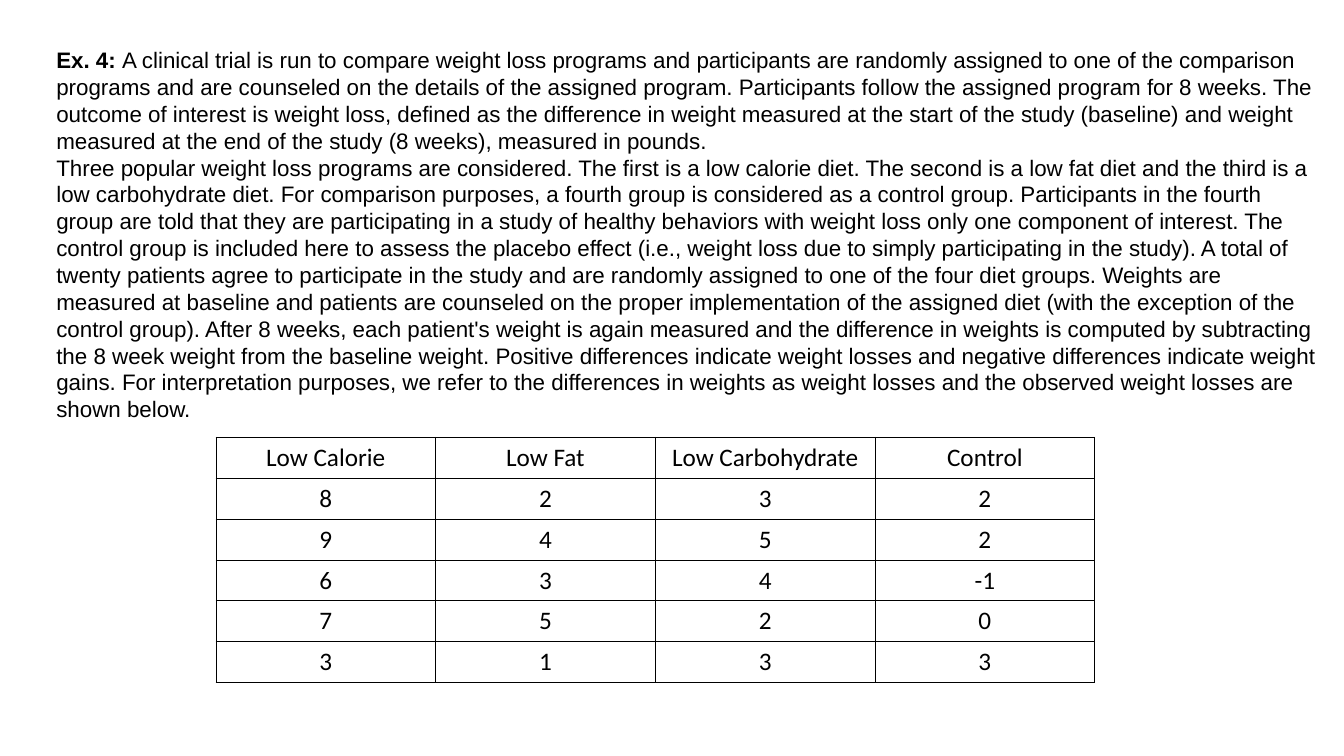
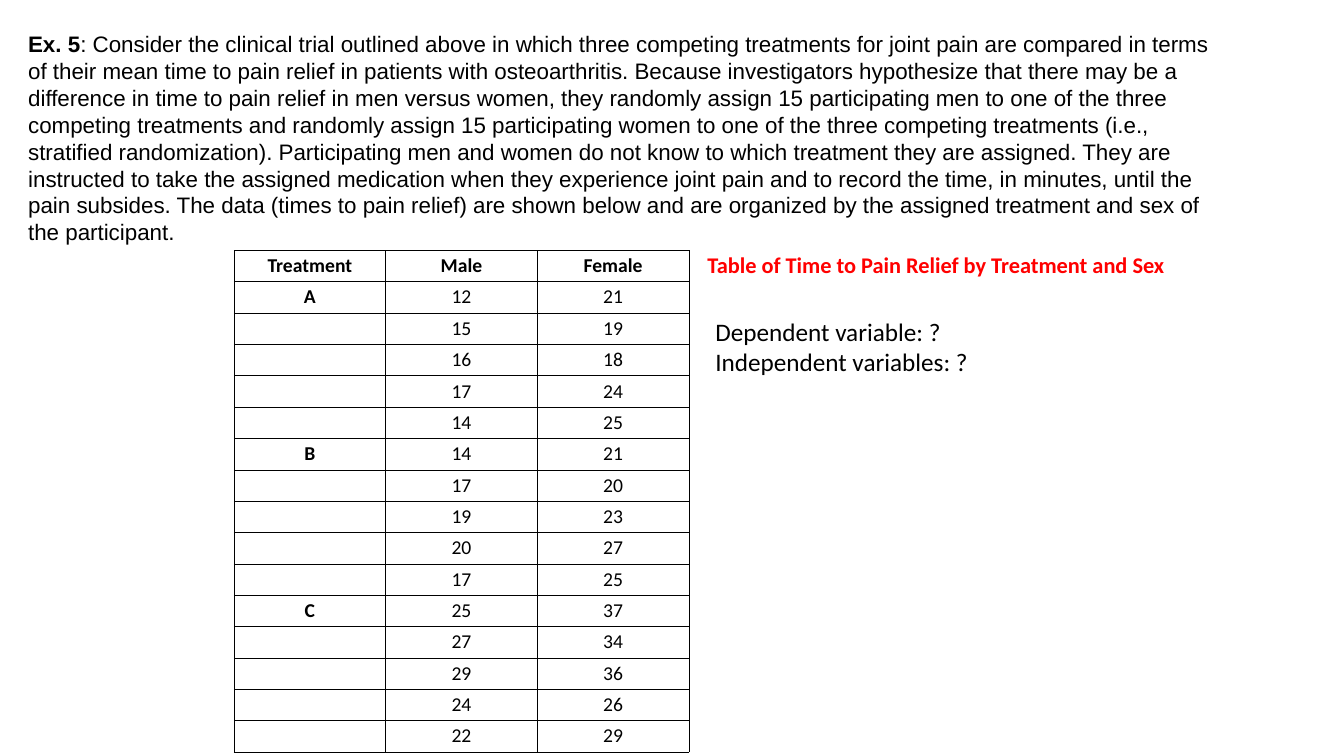
import lxml.etree
import pptx
import pptx.dml.color
import pptx.enum.text
import pptx.oxml.ns
import pptx.util

Cm = pptx.util.Cm
Pt = pptx.util.Pt
qn = pptx.oxml.ns.qn
PP_ALIGN = pptx.enum.text.PP_ALIGN
MSO_ANCHOR = pptx.enum.text.MSO_ANCHOR

COLORS = {"text": "000000", "paper": "FFFFFF", "accent": "FF0000", "grid": "000000"}
BODY, LABEL = "Arial", "Calibri"
BORDER = Pt(0.6)

# Each passage is a list of sentences, joined by single spaces.
TRIAL = [
    "A clinical trial is run to compare weight loss programs and participants are "
    "randomly assigned to one of the comparison programs and are counseled on the "
    "details of the assigned program.",
    "Participants follow the assigned program for 8 weeks.",
    "The outcome of interest is weight loss, defined as the difference in weight "
    "measured at the start of the study (baseline) and weight measured at the end of "
    "the study (8 weeks), measured in pounds.",
]
PROGRAMS = [
    "Three popular weight loss programs are considered.",
    "The first is a low calorie diet.",
    "The second is a low fat diet and the third is a low carbohydrate diet.",
    "For comparison purposes, a fourth group is considered as a control group.",
    "Participants in the fourth group are told that they are participating in a study "
    "of healthy behaviors with weight loss only one component of interest.",
    "The control group is included here to assess the placebo effect (i.e., weight "
    "loss due to simply participating in the study).",
    "A total of twenty patients agree to participate in the study and are randomly "
    "assigned to one of the four diet groups.",
    "Weights are measured at baseline and patients are counseled on the proper "
    "implementation of the assigned diet (with the exception of the control group).",
    "After 8 weeks, each patient's weight is again measured and the difference in "
    "weights is computed by subtracting the 8 week weight from the baseline weight.",
    "Positive differences indicate weight losses and negative differences indicate "
    "weight gains.",
    "For interpretation purposes, we refer to the differences in weights as weight "
    "losses and the observed weight losses are shown below.",
]
JOINT_PAIN = [
    ": Consider the clinical trial outlined above in which three competing treatments "
    "for joint pain are compared in terms of their mean time to pain relief in "
    "patients with osteoarthritis.",
    "Because investigators hypothesize that there may be a difference in time to pain "
    "relief in men versus women, they randomly assign 15 participating men to one of "
    "the three competing treatments and randomly assign 15 participating women to one "
    "of the three competing treatments (i.e., stratified randomization).",
    "Participating men and women do not know to which treatment they are assigned.",
    "They are instructed to take the assigned medication when they experience joint "
    "pain and to record the time, in minutes, until the pain subsides.",
    "The data (times to pain relief) are shown below and are organized by the assigned "
    "treatment and sex of the participant.",
]

DIETS = [
    ("Low Calorie", "Low Fat", "Low Carbohydrate", "Control"),
    (8, 2, 3, 2),
    (9, 4, 5, 2),
    (6, 3, 4, -1),
    (7, 5, 2, 0),
    (3, 1, 3, 3),
]
RELIEF_TIMES = {
    "A": [(12, 21), (15, 19), (16, 18), (17, 24), (14, 25)],
    "B": [(14, 21), (17, 20), (19, 23), (20, 27), (17, 25)],
    "C": [(25, 37), (27, 34), (29, 36), (24, 26), (22, 29)],
}


def rgb(name):
    """Return the named colour."""
    return pptx.dml.color.RGBColor.from_string(COLORS[name])


def add_run(p, text, size, font, bold=False, color="text"):
    """Append one formatted run to a paragraph."""
    r = p.add_run()
    r.text = text
    r.font.size = Pt(size)
    r.font.name = font
    r.font.bold = bold
    r.font.color.rgb = rgb(color)


def add_text(s, box, paragraphs, size, font, color="text"):
    """Place a text box; each paragraph is a list of (text, bold) runs."""
    tf = s.shapes.add_textbox(*map(Cm, box)).text_frame
    tf.word_wrap = True
    for i, runs in enumerate(paragraphs):
        p = tf.paragraphs[0] if i == 0 else tf.add_paragraph()
        for text, bold in runs:
            add_run(p, text, size, font, bold, color)


def add_borders(cell):
    """Draw thin lines on all four sides of a cell."""
    tc_pr = cell._tc.get_or_add_tcPr()
    for side in ("a:lnL", "a:lnR", "a:lnT", "a:lnB"):
        ln = lxml.etree.SubElement(tc_pr, qn(side), w=str(int(BORDER)))
        fill = lxml.etree.SubElement(ln, qn("a:solidFill"))
        lxml.etree.SubElement(fill, qn("a:srgbClr"), val=COLORS["grid"])


def add_grid(s, box, rows, size, anchor, margins=None, is_bold=lambda i, j: False):
    """Fill the box with an evenly divided, ruled table of centred values."""
    n_rows, n_cols = len(rows), len(rows[0])
    table = s.shapes.add_table(n_rows, n_cols, *map(Cm, box)).table
    table.first_row = table.horz_banding = False
    for i, row in enumerate(rows):
        for j, value in enumerate(row):
            cell = table.cell(i, j)
            add_borders(cell)
            cell.fill.solid()
            cell.fill.fore_color.rgb = rgb("paper")
            cell.vertical_anchor = anchor
            if margins:
                cell.margin_left = cell.margin_right = Cm(margins[0])
                cell.margin_top = cell.margin_bottom = Cm(margins[1])
            p = cell.text_frame.paragraphs[0]
            p.alignment = PP_ALIGN.CENTER
            if value == "":
                lxml.etree.SubElement(p._p, qn("a:endParaRPr"), sz=str(size * 100))
            else:
                add_run(p, str(value), size, LABEL, is_bold(i, j))


def weight_loss_slide(prs):
    """Example 4: weight loss under four diets."""
    s = prs.slides.add_slide(prs.slide_layouts[6])
    add_grid(s, (5.44, 11.02, 22.15, 6.18), DIETS, 18, MSO_ANCHOR.MIDDLE)
    add_text(s, (1.17, 1.04, 32.44, 11.2),
             [[("Ex. 4: ", True), (" ".join(TRIAL), False)],
              [(" ".join(PROGRAMS), False)]], 16, BODY)


def pain_relief_slide(prs):
    """Example 5: time to pain relief by treatment and sex."""
    s = prs.slides.add_slide(prs.slide_layouts[6])
    rows = [("Treatment", "Male", "Female")]
    for treatment, times in RELIEF_TIMES.items():
        rows += [("" if k else treatment, *pair) for k, pair in enumerate(times)]
    add_grid(s, (5.9, 6.31, 11.46, 12.64), rows, 14, MSO_ANCHOR.TOP, (0.18, 0.09),
             lambda i, j: i == 0 or j == 0)
    add_text(s, (0.46, 0.64, 30.5, 6.4),
             [[("Ex. 5", True), (" ".join(JOINT_PAIN), False)]], 16, BODY)
    add_text(s, (17.58, 6.2, 13.41, 0.94),
             [[("Table of Time to Pain Relief by Treatment and Sex", True)]],
             16, LABEL, "accent")
    add_text(s, (17.78, 7.85, 16, 1.8),
             [[("Dependent variable: ?", False)], [("Independent variables: ?", False)]],
             18, LABEL)


prs = pptx.Presentation()
prs.slide_width, prs.slide_height = Cm(33.87), Cm(19.05)
weight_loss_slide(prs)
pain_relief_slide(prs)
prs.save("out.pptx")
